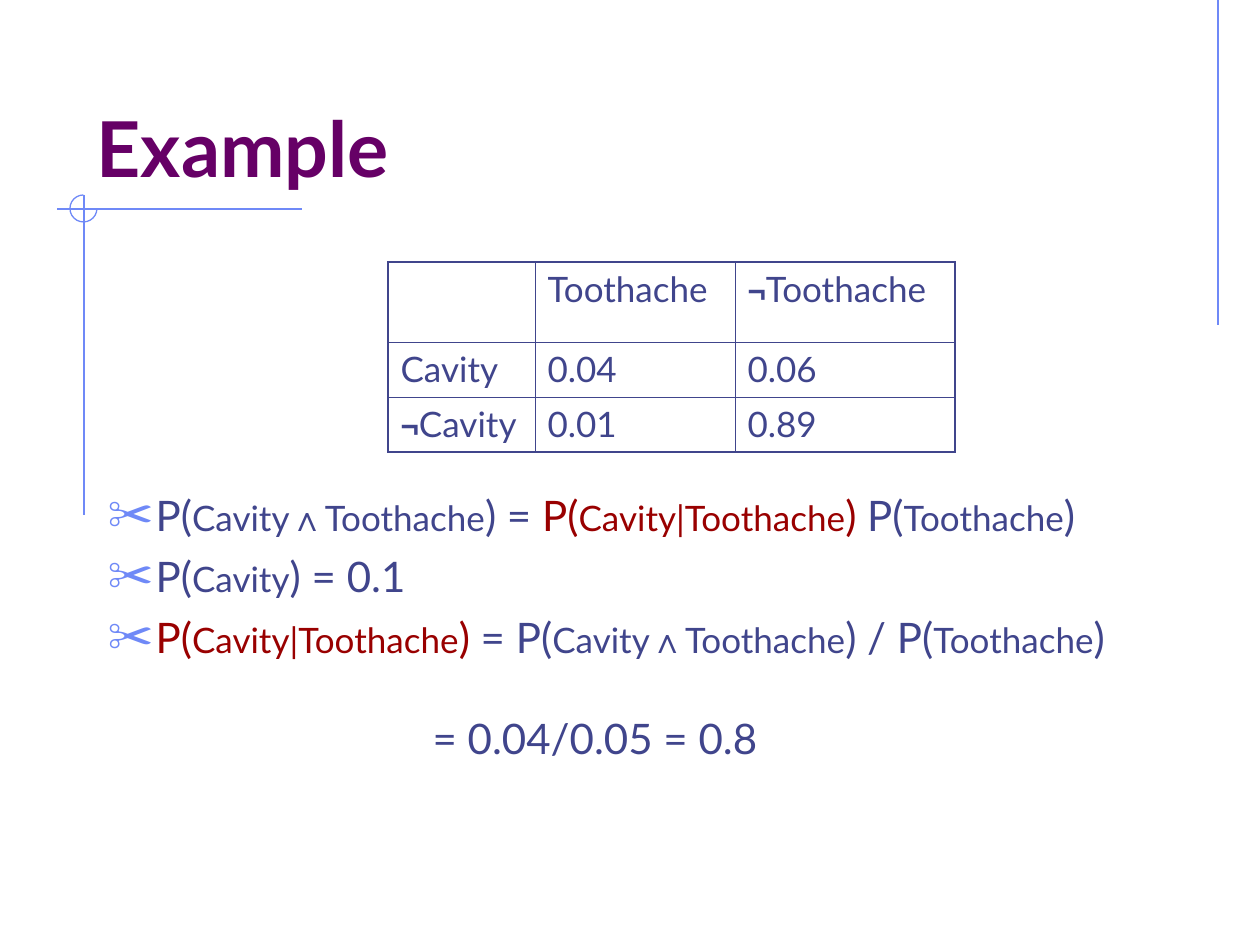
from dataclasses import dataclass

from lxml.etree import SubElement
from pptx import Presentation
from pptx.dml.color import RGBColor
from pptx.enum.shapes import MSO_CONNECTOR, MSO_SHAPE
from pptx.enum.text import MSO_ANCHOR, MSO_AUTO_SIZE, PP_ALIGN
from pptx.oxml.ns import qn
from pptx.util import Pt

SCALE = 914400 // 126  # EMU in one px


@dataclass(frozen=True)
class Theme:
    text: str = "40458C"
    title: str = "660066"
    mark: str = "990000"
    line: str = "6F89F7"
    font: str = "Lato"
    sign: str = "Arial"
    head: int = 44
    big: int = 24
    small: int = 20
    tiny: int = 18
    thin: float = 0.75
    outer: float = 1.08
    inner: float = 0.45


T = Theme()


def px(n):
    return n * SCALE


def put(par, text, size=T.small, color=T.text, font=T.font, bold=False):
    run = par.add_run()
    run.text = text
    face = run.font
    face.size, face.name, face.bold = Pt(size), font, bold
    face.color.rgb = RGBColor.from_string(color)


def place(shape, left, top, width, height):
    shape.left, shape.top = px(left), px(top)
    shape.width, shape.height = px(width), px(height)


def rule(slide, x1, y1, x2, y2):
    line = slide.shapes.add_connector(
        MSO_CONNECTOR.STRAIGHT, px(x1), px(y1), px(x2), px(y2))
    line.line.color.rgb = RGBColor.from_string(T.line)
    line.line.width = Pt(T.thin)
    SubElement(line._element.spPr, qn("a:effectLst"))


def arc(slide, x, y, size):
    ring = slide.shapes.add_shape(
        MSO_SHAPE.ARC, px(x), px(y), px(size), px(size))
    ring.adjustments[0], ring.adjustments[1] = 0, 162  # three quarters
    ring.fill.background()
    ring.line.color.rgb = RGBColor.from_string(T.line)
    ring.line.width = Pt(T.thin)
    ring.shadow.inherit = False


def indent(par, left, first=0):
    props = par._p.get_or_add_pPr()
    props.set("marL", str(px(left)))
    props.set("indent", str(px(first)))
    return props


def bullet(par):
    props = indent(par, 48, -48)
    SubElement(SubElement(props, qn("a:buClr")), qn("a:srgbClr"), val=T.line)
    SubElement(props, qn("a:buSzPct"), val="110000")
    SubElement(props, qn("a:buChar"), char="✂")


def term(par, name, color=T.text):
    """Write P(name), with the name in smaller type."""
    put(par, "P(", size=T.big, color=color)
    left, sign, right = name.partition("∧")
    put(par, left, color=color)
    if sign:
        put(par, sign, font=T.sign, bold=True, color=color)
        put(par, right, color=color)
    put(par, ")", size=T.big, color=color)


def title(slide, text):
    box = slide.shapes.title
    place(box, 84, 42, 1071, 157)
    frame = box.text_frame
    frame.auto_size = MSO_AUTO_SIZE.NONE
    frame.vertical_anchor = MSO_ANCHOR.BOTTOM
    par = frame.paragraphs[0]
    par.alignment = PP_ALIGN.LEFT
    put(par, text, size=T.head, color=T.title, bold=True)


def body(slide, lines, result):
    box = slide.placeholders[1]
    place(box, 95, 483, 1092, 315)
    frame = box.text_frame
    frame.auto_size = MSO_AUTO_SIZE.NONE
    for i, parts in enumerate(lines):
        par = frame.add_paragraph() if i else frame.paragraphs[0]
        par.space_before = Pt(6)
        bullet(par)
        for kind, text in parts:
            if kind == "op":
                put(par, text, size=T.big)
            else:
                term(par, text, T.mark if kind == "mark" else T.text)
    # Result line, set in under the last formula
    par = frame.add_paragraph()
    par.space_before = Pt(29)
    SubElement(indent(par, 325), qn("a:buNone"))
    put(par, result, size=T.big)


def border(cell, edges):
    props = cell._tc.get_or_add_tcPr()
    for side, outer in edges.items():
        width = Pt(T.outer if outer else T.inner)
        line = SubElement(props, qn("a:ln" + side), w=str(width))
        fill = SubElement(line, qn("a:solidFill"))
        SubElement(fill, qn("a:srgbClr"), val=T.text)


def table(slide, data, left, top, cols, rows):
    grid = slide.shapes.add_table(
        len(rows), len(cols), px(left), px(top),
        px(sum(cols)), px(sum(rows))).table
    grid.first_row = grid.horz_banding = False
    for col, width in zip(grid.columns, cols):
        col.width = px(width)
    for row, height in zip(grid.rows, rows):
        row.height = px(height)
    for r, texts in enumerate(data):
        for c, text in enumerate(texts):
            cell = grid.cell(r, c)
            border(cell, {"L": c == 0, "R": c == len(cols) - 1,
                          "T": r == 0, "B": r == len(rows) - 1})
            cell.fill.background()
            if not text:
                continue
            par = cell.text_frame.paragraphs[0]
            par.space_before = Pt(5)
            if text.startswith("¬"):
                put(par, "¬", size=T.tiny, font=T.sign, bold=True)
            put(par, text.lstrip("¬"))


def main():
    deck = Presentation()
    deck.slide_width, deck.slide_height = px(1260), px(945)
    slide = deck.slides.add_slide(deck.slide_layouts[1])

    # Corner decoration
    rule(slide, 1218, 0, 1218, 325)
    rule(slide, 302, 209, 57, 209)
    rule(slide, 84, 195, 84, 515)
    arc(slide, 70, 195, 27)

    # Title and formulas
    title(slide, "Example")
    both, given = "Cavity∧Toothache", "Cavity|Toothache"
    body(slide, [
        [("term", both), ("op", " = "), ("mark", given), ("op", " "),
         ("term", "Toothache")],
        [("term", "Cavity"), ("op", " = 0.1")],
        [("mark", given), ("op", " = "), ("term", both), ("op", " / "),
         ("term", "Toothache")],
    ], "= 0.04/0.05 = 0.8")

    # Joint probabilities
    table(slide, [["", "Toothache", "¬Toothache"],
                  ["Cavity", "0.04", "0.06"],
                  ["¬Cavity", "0.01", "0.89"]],
          388, 262, [147, 200, 220], [80, 55, 55])
    deck.save("out.pptx")


if __name__ == "__main__":
    main()
